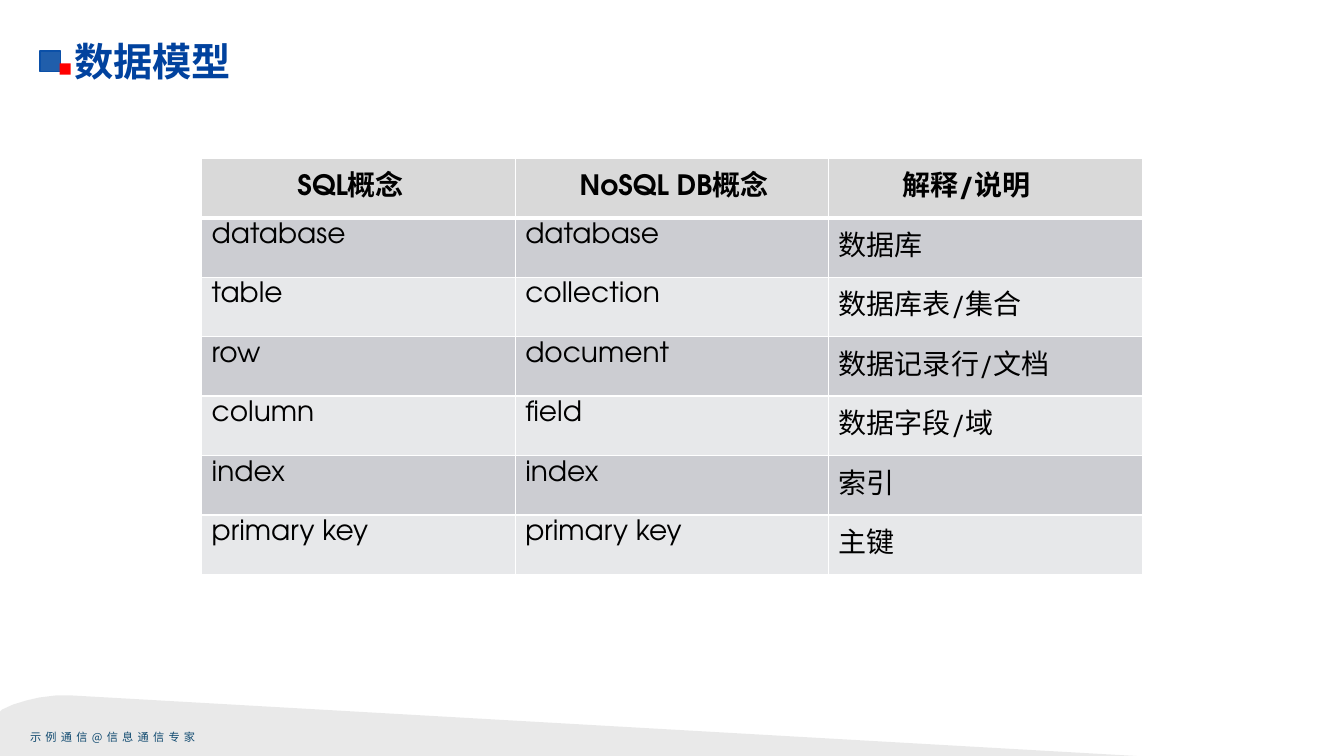
import pptx
import pptx.util
import pptx.dml.color
import pptx.enum.shapes
import pptx.enum.text
import pptx.oxml
import pptx.oxml.ns
import lxml.etree

Inches, Pt = pptx.util.Inches, pptx.util.Pt
Anchor = pptx.enum.text.MSO_ANCHOR

# Content
TITLE = "数据模型"
FOOT = "示例通信@信息通信专家"
HEAD = ["SQL概念", "NoSQL DB概念", "解释/说明"]
ROWS = [
    ("database", "database", "数据库"),
    ("table", "collection", "数据库表/集合"),
    ("row", "document", "数据记录行/文档"),
    ("column", "field", "数据字段/域"),
    ("index", "index", "索引"),
    ("primary key", "primary key", "主键"),
]
COLORS = {"wave": "D9D9D9", "foot": "0F496F", "blue": "205EAB", "edge": "0B50A8",
          "red": "FF0000", "title": "01429E", "text": "000000", "head": "D9D9D9",
          "odd": "CCCDD2", "even": "E7E8EA", "rule": "FFFFFF"}
LATIN, HAN = "TeX Gyre Adventor", "Noto Sans CJK SC"
WAVE = [(0.64, 6.9), (0.72, 6.9), (11.27, 7.5), (0, 7.5), (0, 7.06), (0.02, 7.04),
        (0.13, 6.99), (0.26, 6.95), (0.39, 6.92), (0.47, 6.91), (0.55, 6.9)]
MARKS = [(0.4, 0.51, 0.2, "blue", "edge"), (0.59, 0.63, 0.11, "red", None)]
INDENT = [0.85, 0.54, 0.63]
COL, ROW, PAD = 3.11, 0.59, 0.1
FORMATS = {
    "title": {"size": Pt(28), "bold": True, "name": HAN},
    "foot": {"size": Pt(8), "bold": False, "name": HAN},
    "head": {"size": Pt(20), "bold": True, "name": LATIN},
    "body": {"size": Pt(20), "bold": False, "name": LATIN},
}


def color(key):
    return pptx.dml.color.RGBColor.from_string(COLORS[key])


def paint(thing, key):
    thing.fill.solid()
    thing.fill.fore_color.rgb = color(key)


def write(frame, text, style, tint):
    run = frame.paragraphs[0].add_run()
    run.text = text
    for name, value in FORMATS[style].items():
        setattr(run.font, name, value)
    run.font.color.rgb = color(tint)
    props = run.font._element
    font = lxml.etree.SubElement(props, pptx.oxml.ns.qn("a:ea"))
    font.set("typeface", HAN)
    return props


def border(cell, side, width):
    props = cell._tc.get_or_add_tcPr()
    line = pptx.oxml.parse_xml(
        f'<a:ln{side} {pptx.oxml.ns.nsdecls("a")} w="{Pt(width)}"><a:solidFill>'
        f'<a:srgbClr val="{COLORS["rule"]}"/></a:solidFill></a:ln{side}>')
    props.insert("LRTB".index(side), line)


deck = pptx.Presentation()
deck.slide_width, deck.slide_height = Inches(13.33), Inches(7.5)
slide = deck.slides.add_slide(deck.slide_layouts[6])
shapes = slide.shapes

# Footer wave
dots = [(Inches(x), Inches(y)) for x, y in WAVE]
edge = shapes.build_freeform(*dots[0])
edge.add_line_segments(dots[1:], close=True)
wave = edge.convert_to_shape()
wave.shadow.inherit = False
wave.line.fill.background()
paint(wave, "wave")
tint = wave._element.spPr.find(".//" + pptx.oxml.ns.qn("a:srgbClr"))
lxml.etree.SubElement(tint, pptx.oxml.ns.qn("a:alpha")).set("val", "56000")

# Footer text
foot = shapes.add_textbox(*map(Inches, (0.2, 7.2, 1.9, 0.24)))
foot.text_frame.word_wrap = False
write(foot.text_frame, FOOT, "foot", "foot").set("spc", "300")

# Title marks
for left, top, side, fill, line in MARKS:
    mark = shapes.add_shape(pptx.enum.shapes.MSO_SHAPE.RECTANGLE,
                            *map(Inches, (left, top, side, side)))
    mark.shadow.inherit = False
    paint(mark, fill)
    if line:
        mark.line.color.rgb = color(line)
        mark.line.width = Pt(1.25)
    else:
        mark.line.fill.background()

# Title
title = shapes.add_textbox(*map(Inches, (0.64, 0.35, 9.08, 0.5)))
title.text_frame.word_wrap = True
title.text_frame.vertical_anchor = Anchor.MIDDLE
write(title.text_frame, TITLE, "title", "title")

# Table
lines = [HEAD] + ROWS
size = (COL * len(HEAD), ROW * len(lines))
table = shapes.add_table(len(lines), len(HEAD),
                         *map(Inches, (2, 1.57, *size))).table
for col in table.columns:
    col.width = Inches(COL)
for row in table.rows:
    row.height = Inches(ROW)
for r, line in enumerate(lines):
    top = r == 0
    for c, text in enumerate(line):
        cell = table.cell(r, c)
        look = {"margin_left": Inches(PAD + (INDENT[c] if top else 0)),
                "margin_right": Inches(PAD),
                "margin_top": Inches(0.05),
                "margin_bottom": Inches(0.05),
                "vertical_anchor": Anchor.TOP}
        for name, value in look.items():
            setattr(cell, name, value)
        paint(cell, "head" if top else "odd" if r % 2 else "even")
        write(cell.text_frame, text, "head" if top else "body", "text")
        for side in "LRTB":
            thick = (top and side == "B") or (r == 1 and side == "T")
            border(cell, side, 3 if thick else 1)

deck.save("out.pptx")
